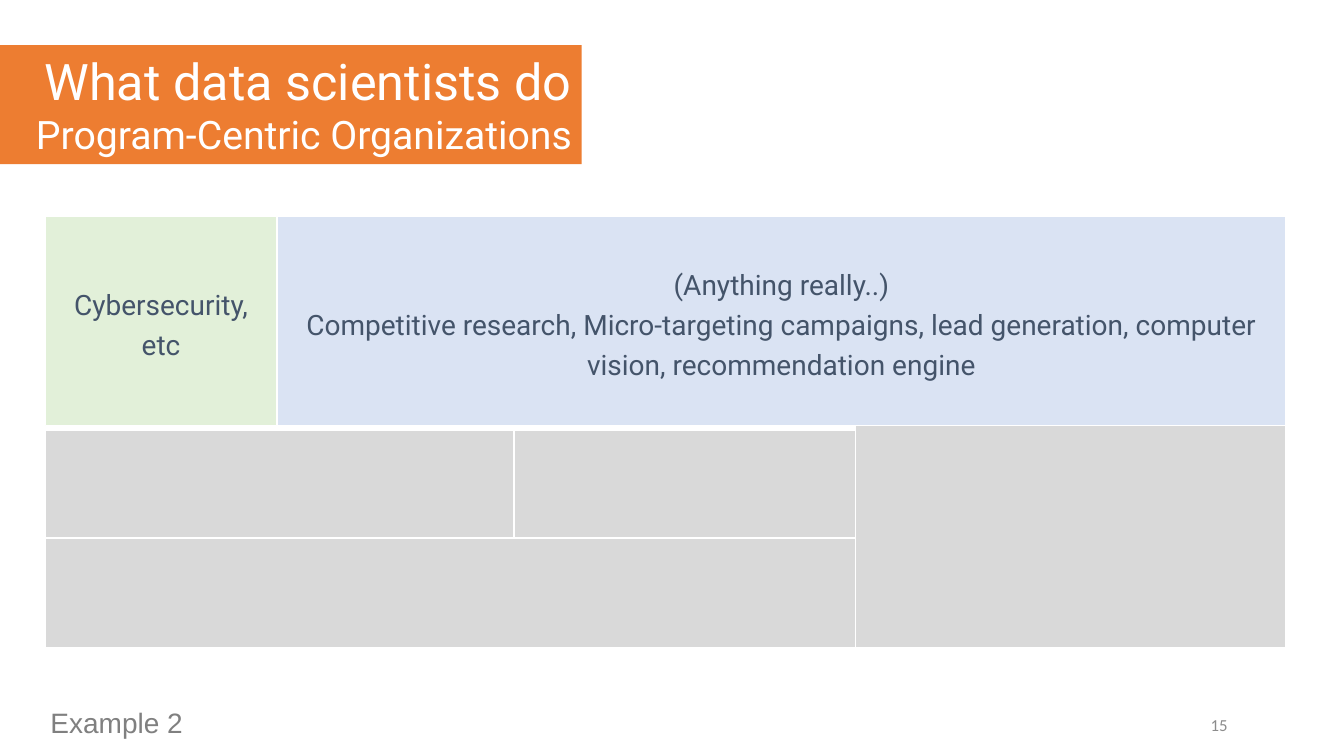
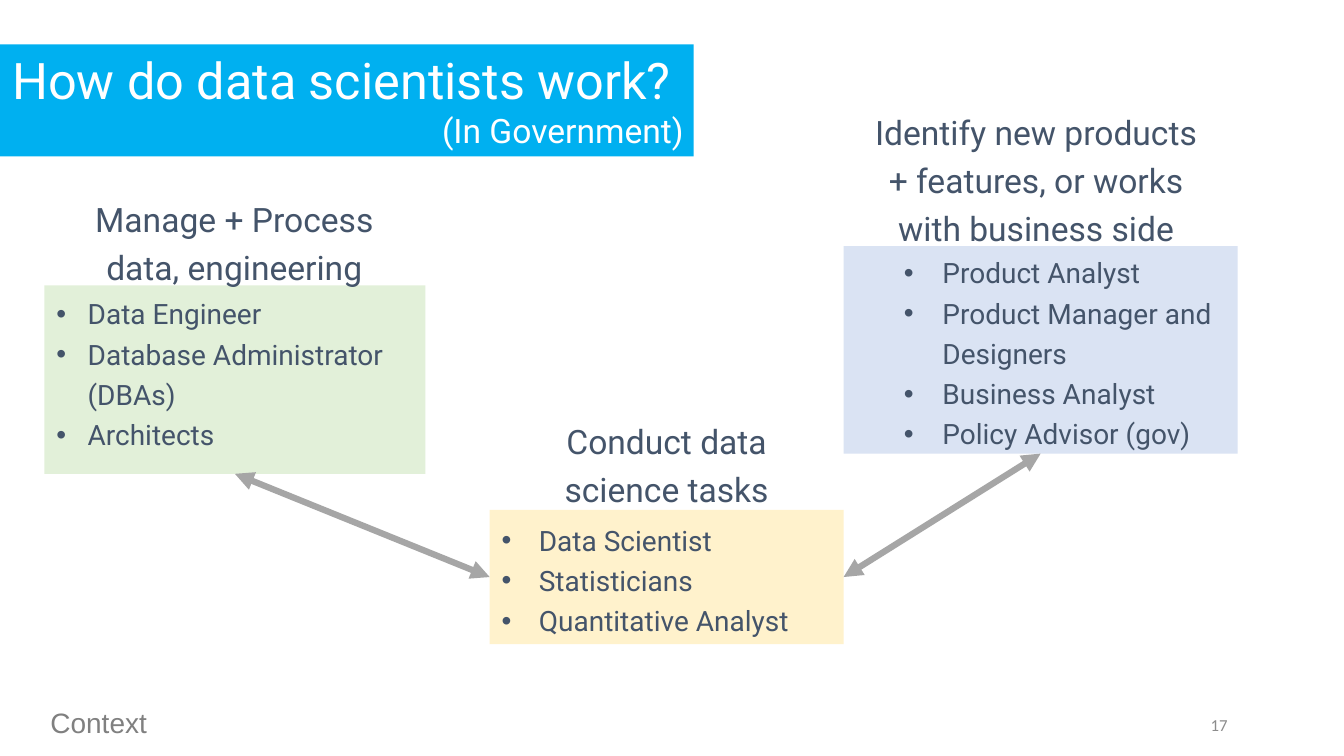
from lxml.etree import SubElement
from pptx import Presentation
from pptx.dml.color import RGBColor
from pptx.enum.shapes import MSO_CONNECTOR, MSO_SHAPE
from pptx.enum.text import MSO_ANCHOR, PP_ALIGN
from pptx.oxml.ns import qn
from pptx.util import Cm, Pt

WHITE = "FFFFFF"
SLATE = "44546A"
FOOTER_GRAY = "808080"
NUMBER_GRAY = "8C8C8C"
ARROW_GRAY = "A6A6A6"
TILE_GRAY = "D9D9D9"
GREEN = "E2F0D9"
BLUE = "DAE3F3"
YELLOW = "FFF2CC"
ORANGE = "ED7D31"
SKY = "00B0F0"

BODY_FONT = "Roboto"
BODY_SPACING = 1.2
BOTTOM, LEFT, RIGHT = 2, 1, 3


def color(hex_string):
    return RGBColor.from_string(hex_string)


def lengths(box):
    return [Cm(value) for value in box]


def add_run(paragraph, text, size, text_color=SLATE, font=BODY_FONT):
    run = paragraph.add_run()
    run.text = text
    run.font.size = Pt(size)
    run.font.name = font
    run.font.color.rgb = color(text_color)


def add_paragraph(frame, index, alignment, spacing=None):
    paragraph = frame.add_paragraph() if index else frame.paragraphs[0]
    paragraph.alignment = alignment
    if spacing:
        paragraph.line_spacing = spacing
    return paragraph


def set_bullet(paragraph, indent, hanging):
    properties = paragraph._p.get_or_add_pPr()
    properties.set("marL", str(Cm(indent)))
    properties.set("indent", str(-Cm(hanging)))
    SubElement(properties, qn("a:buFont")).set("typeface", "Arial")
    SubElement(properties, qn("a:buChar")).set("char", "•")


def add_rectangle(slide, box, fill, outline=None):
    shape = slide.shapes.add_shape(MSO_SHAPE.RECTANGLE, *lengths(box))
    shape.shadow.inherit = False
    shape.fill.solid()
    shape.fill.fore_color.rgb = color(fill)
    if outline:
        shape.line.color.rgb = color(outline)
        shape.line.width = Pt(1)
    else:
        shape.line.fill.background()
    shape.text_frame.word_wrap = True
    return shape


def add_text_box(slide, box, anchor):
    frame = slide.shapes.add_textbox(*lengths(box)).text_frame
    frame.word_wrap = True
    frame.vertical_anchor = anchor
    return frame


def add_centered_lines(frame, lines, size):
    frame.vertical_anchor = MSO_ANCHOR.MIDDLE
    for index, line in enumerate(lines):
        paragraph = add_paragraph(frame, index, PP_ALIGN.CENTER, BODY_SPACING)
        add_run(paragraph, line, size)


def add_tile(slide, box, fill, lines=()):
    tile = add_rectangle(slide, box, fill, WHITE)
    add_centered_lines(tile.text_frame, lines, 20)


def add_heading(slide, box, lines):
    add_centered_lines(add_text_box(slide, box, MSO_ANCHOR.MIDDLE), lines, 24)


def add_role_card(slide, box, fill, roles, indent, hanging, anchor=MSO_ANCHOR.MIDDLE):
    card = add_rectangle(slide, box, fill)
    card.text_frame.vertical_anchor = anchor
    for index, role in enumerate(roles):
        paragraph = add_paragraph(card.text_frame, index, PP_ALIGN.LEFT, BODY_SPACING)
        set_bullet(paragraph, indent, hanging)
        add_run(paragraph, role, 20)
    return card


def add_double_arrow(slide, start, start_side, end, end_side):
    connector = slide.shapes.add_connector(MSO_CONNECTOR.STRAIGHT, 0, 0, 0, 0)
    connector.begin_connect(start, start_side)
    connector.end_connect(end, end_side)
    connector.line.color.rgb = color(ARROW_GRAY)
    connector.line.width = Pt(4.5)
    line = connector.line._get_or_add_ln()
    for tag in ("a:headEnd", "a:tailEnd"):
        SubElement(line, qn(tag)).set("type", "triangle")
    SubElement(connector._element.spPr, qn("a:effectLst"))


def add_banner(slide, box, fill, title, subtitle, subtitle_size):
    frame = add_rectangle(slide, box, fill).text_frame
    frame.vertical_anchor = MSO_ANCHOR.TOP
    frame.margin_left = 0
    for index, (text, size) in enumerate([(title, 36), (subtitle, subtitle_size)]):
        paragraph = add_paragraph(frame, index, PP_ALIGN.RIGHT)
        add_run(paragraph, text, size, WHITE)


def add_slide(presentation, section, number):
    slide = presentation.slides.add_slide(presentation.slide_layouts[6])
    footer = add_text_box(slide, (1.02, 17.65, 24.87, 1.12), MSO_ANCHOR.TOP)
    paragraph = add_paragraph(footer, 0, PP_ALIGN.LEFT)
    add_run(paragraph, section, 20, FOOTER_GRAY, "Arial")
    page = add_text_box(slide, (23.57, 17.75, 7.62, 1.02), MSO_ANCHOR.MIDDLE)
    paragraph = add_paragraph(page, 0, PP_ALIGN.RIGHT)
    add_run(paragraph, number, 12, NUMBER_GRAY, "Calibri")
    return slide


def build_program_slide(presentation):
    slide = add_slide(presentation, "Example 2", "15")
    left, security_right, middle, wide_right, right = 1.14, 6.98, 12.95, 21.56, 32.41
    top, upper_height = 5.46, 5.26
    add_tile(slide, (left, top, security_right - left, upper_height), GREEN,
             ["Cybersecurity, etc"])
    add_tile(slide, (security_right, top, right - security_right, upper_height), BLUE,
             ["(Anything really..)",
              "Competitive research, Micro-targeting campaigns, lead generation, "
              "computer vision, recommendation engine"])
    for start, end, tile_top, height in [
        (left, middle, 10.85, 2.77),
        (middle, wide_right, 10.85, 2.77),
        (wide_right, right, 10.72, 5.61),
        (left, wide_right, 13.56, 2.77),
    ]:
        add_tile(slide, (start, tile_top, end - start, height), TILE_GRAY)
    add_banner(slide, (0, 1.14, 14.66, 3), ORANGE,
               "What data scientists do", "Program-Centric Organizations", 28)


def build_roles_slide(presentation):
    slide = add_slide(presentation, "Context", "17")
    science = add_role_card(
        slide, (12.34, 12.85, 8.92, 3.38), YELLOW,
        ["Data Scientist", "Statisticians", "Quantitative Analyst"], 0.99, 0.94)
    product = add_role_card(
        slide, (21.26, 6.2, 9.93, 5.23), BLUE,
        ["Product Analyst", "Product Manager and Designers",
         "Business Analyst", "Policy Advisor (gov)"], 2.24, 0.97)
    engineering = add_role_card(
        slide, (1.12, 7.19, 9.6, 4.75), GREEN,
        ["Data Engineer", "Database Administrator (DBAs)", "Architects"],
        0.84, 0.79, MSO_ANCHOR.TOP)
    add_heading(slide, (12.34, 10.41, 8.92, 2.41), ["Conduct data", "science tasks"])
    add_heading(slide, (21.26, 3.28, 9.7, 2.31),
                ["Identify new products", "+ features, or works with business side"])
    add_heading(slide, (1.7, 5.13, 8.41, 1.78), ["Manage + Process data, engineering"])
    add_double_arrow(slide, science, RIGHT, product, BOTTOM)
    add_double_arrow(slide, science, LEFT, engineering, BOTTOM)
    add_banner(slide, (0, 1.12, 17.48, 2.82), SKY,
               "How do data scientists work? ", "(In Government)", 24)


def main():
    presentation = Presentation()
    presentation.slide_width = Cm(33.87)
    presentation.slide_height = Cm(19.05)
    build_program_slide(presentation)
    build_roles_slide(presentation)
    presentation.save("out.pptx")


if __name__ == "__main__":
    main()
